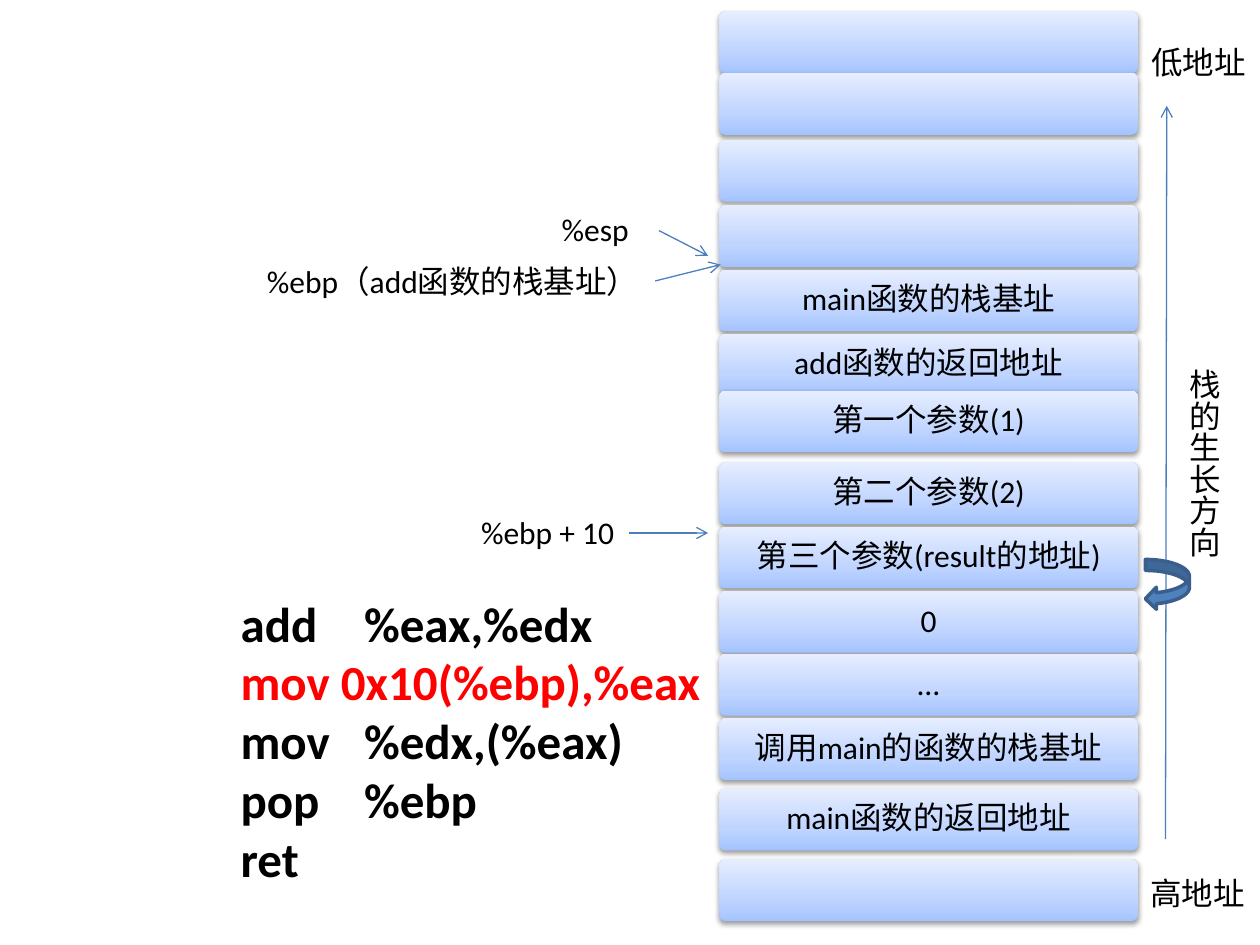
from lxml import etree
from pptx import Presentation
from pptx.dml.color import RGBColor
from pptx.enum.shapes import MSO_CONNECTOR, MSO_SHAPE
from pptx.enum.text import MSO_ANCHOR, PP_ALIGN
from pptx.oxml import parse_xml
from pptx.oxml.ns import nsdecls, qn
from pptx.util import Inches, Pt

BLACK = RGBColor(0x00, 0x00, 0x00)
RED = RGBColor(0xFF, 0x00, 0x00)
BLUE = RGBColor(0x4F, 0x81, 0xBD)
ARROW_BLUE = RGBColor(0x4B, 0x7E, 0xBC)
DARK_BLUE = RGBColor(0x3A, 0x5F, 0x8C)
ROUNDED = MSO_SHAPE.ROUNDED_RECTANGLE
CURVED_ARROW = MSO_SHAPE.CURVED_LEFT_ARROW
STRAIGHT = MSO_CONNECTOR.STRAIGHT
LEFT, CENTER = PP_ALIGN.LEFT, PP_ALIGN.CENTER
MIDDLE = MSO_ANCHOR.MIDDLE
TITLE_ONLY = 5

GRADIENT = f"""<a:gradFill {nsdecls('a')} rotWithShape="1"><a:gsLst>
<a:gs pos="0"><a:srgbClr val="A4C4FF"/></a:gs>
<a:gs pos="35000"><a:srgbClr val="BFD4FF"/></a:gs>
<a:gs pos="100000"><a:srgbClr val="E6EEFF"/></a:gs>
</a:gsLst><a:lin ang="16200000" scaled="0"/></a:gradFill>"""
SHADOW = f"""<a:outerShdw {nsdecls('a')} blurRad="40000" dist="20000" dir="5400000"
rotWithShape="0"><a:srgbClr val="000000"><a:alpha val="38000"/></a:srgbClr></a:outerShdw>"""


def add_text(para, text, size=18, color=BLACK, bold=False):
    span = para.add_run()
    span.text = text
    span.font.name = "Calibri"
    span.font.size = Pt(size)
    span.font.bold = bold
    span.font.color.rgb = color


deck = Presentation()
deck.slide_width, deck.slide_height = Inches(10), Inches(7.5)
page = deck.slides.add_slide(deck.slide_layouts[TITLE_ONLY])

title = page.shapes.title
title.left, title.top = Inches(1.81), Inches(4.66)
title.width, title.height = Inches(3.89), Inches(2.43)
title.text_frame.vertical_anchor = MIDDLE
para = title.text_frame.paragraphs[0]
para.alignment = LEFT
tabs = etree.SubElement(para._p.get_or_add_pPr(), qn("a:tabLst"))
etree.SubElement(tabs, qn("a:tab"), pos=str(Inches(0.98)), algn="l")
code = [
    ("add\t%eax,%edx", BLACK),
    ("mov 0x10(%ebp),%eax", RED),
    ("mov\t%edx,(%eax)", BLACK),
    ("pop\t%ebp", BLACK),
    ("ret", BLACK),
]
for index, (text, color) in enumerate(code):
    if index:
        para.add_line_break()
    add_text(para, text, 28, color, True)

stack = [
    (0.09, ""),
    (0.58, ""),
    (1.11, ""),
    (1.63, ""),
    (2.14, "main函数的栈基址"),
    (2.65, "add函数的返回地址"),
    (3.1, "第一个参数(1)"),
    (3.67, "第二个参数(2)"),
    (4.18, "第三个参数(result的地址)"),
    (4.69, "0"),
    (5.19, "…"),
    (5.7, "调用main的函数的栈基址"),
    (6.26, "main函数的返回地址"),
    (6.82, ""),
]
for top, text in stack:
    cell = page.shapes.add_shape(ROUNDED, Inches(5.71), Inches(top), Inches(3.32), Inches(0.49))
    cell.adjustments[0] = 0.1
    cell.line.fill.background()
    cell.shadow.inherit = False
    properties = cell._element.spPr
    properties.find(qn("a:prstGeom")).addnext(parse_xml(GRADIENT))
    properties.find(qn("a:effectLst")).append(parse_xml(SHADOW))
    if text:
        frame = cell.text_frame
        frame.word_wrap = True
        frame.vertical_anchor = MIDDLE
        frame.margin_left = frame.margin_right = Inches(0.09)
        frame.margin_top = frame.margin_bottom = Inches(0.09)
        para = frame.paragraphs[0]
        para.alignment = CENTER
        para.line_spacing = 0.9
        add_text(para, text)

arrows = [
    (9.25, 6.66, 9.26, 0.84),
    (5.2, 2.23, 5.72, 2.1),
    (5.23, 1.83, 5.62, 2.03),
    (4.99, 4.23, 5.62, 4.23),
]
for ends in arrows:
    arrow = page.shapes.add_connector(STRAIGHT, *[Inches(value) for value in ends])
    arrow.line.color.rgb = ARROW_BLUE
    arrow.line.width = Pt(0.75)
    etree.SubElement(arrow.line._get_or_add_ln(), qn("a:tailEnd"), type="arrow")
    etree.SubElement(arrow._element.spPr, qn("a:effectLst"))

labels = [
    (9.26, 2.83, 0.5, 1.62, "栈的生长方向", False, "eaVert"),
    (9.04, 0.29, 0.96, 0.4, "低地址", False, "horz"),
    (9.03, 6.89, 0.96, 0.4, "高地址", False, "horz"),
    (2.02, 2.03, 3.18, 0.4, "%ebp（add函数的栈基址）", True, "horz"),
    (4.36, 1.62, 0.87, 0.4, "%esp", True, "horz"),
    (3.72, 4.02, 1.27, 0.4, "%ebp + 10", False, "horz"),
]
for left, top, width, height, text, wrap, direction in labels:
    box = page.shapes.add_textbox(Inches(left), Inches(top), Inches(width), Inches(height))
    frame = box.text_frame
    frame.word_wrap = wrap
    frame._txBody.bodyPr.set("vert", direction)
    add_text(frame.paragraphs[0], text)

turn = page.shapes.add_shape(CURVED_ARROW, Inches(9.09), Inches(4.44), Inches(0.35), Inches(0.4))
turn.shadow.inherit = False
turn.fill.solid()
turn.fill.fore_color.rgb = BLUE
turn.line.color.rgb = DARK_BLUE
turn.line.width = Pt(2)

deck.save("out.pptx")
